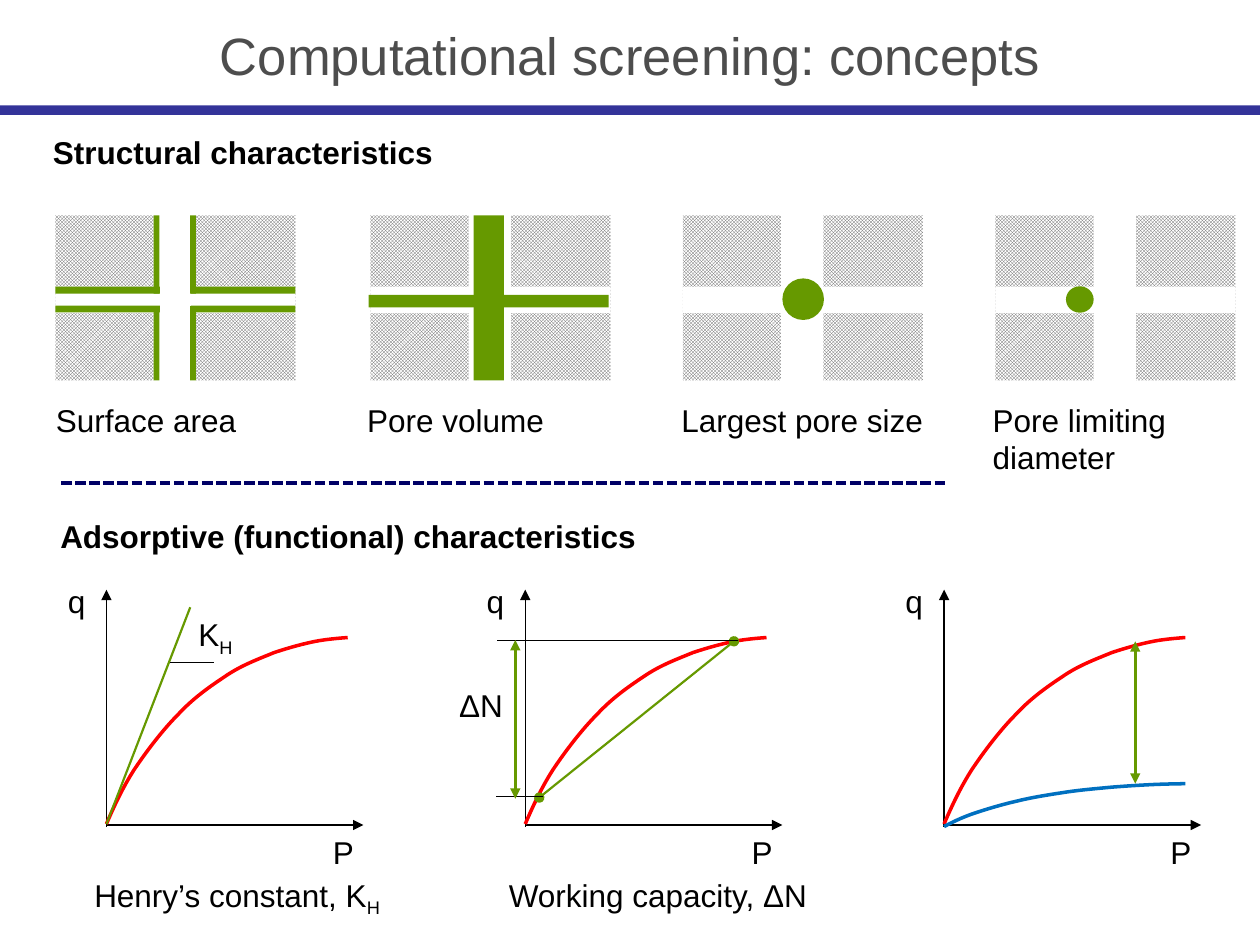
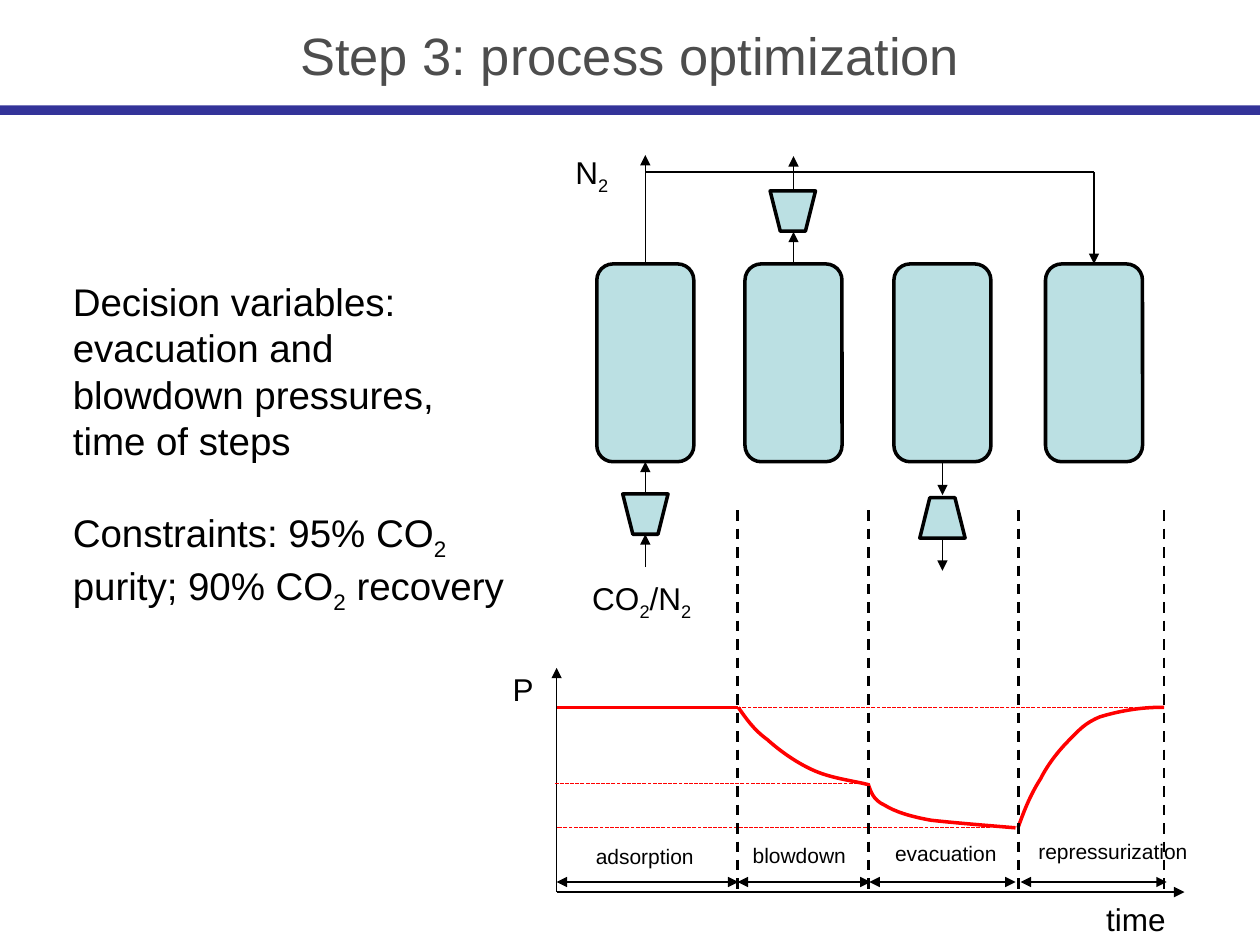
from dataclasses import dataclass
from itertools import product
from typing import NamedTuple, Optional

from lxml.etree import SubElement
from pptx import Presentation
from pptx.dml.color import RGBColor
from pptx.enum.dml import MSO_LINE, MSO_PATTERN
from pptx.enum.shapes import MSO_CONNECTOR, MSO_SHAPE
from pptx.enum.text import MSO_ANCHOR, MSO_AUTO_SIZE, PP_ALIGN
from pptx.oxml.ns import qn
from pptx.util import Emu, Inches, Pt

# The grid has 100 columns and 75 rows of square cells; all lengths are in cells
WIDTH, HEIGHT = Inches(10), Inches(7.5)
CELL = WIDTH / 100
TOP, BOTTOM = 0, 2  # connection sites of a rectangle


@dataclass(frozen=True)
class Theme:
    font: str = "Arial"
    title_size: float = 30
    body_size: float = 22
    label_size: float = 18
    step_size: float = 12
    title: str = "4D4D4D"
    ink: str = "000000"
    paper: str = "FFFFFF"
    band: str = "333399"
    divider: str = "000066"
    solid: str = "606060"
    pore: str = "669900"
    strong: str = "FF0000"
    weak: str = "0070C0"
    vessel: str = "BBE0E3"


THEME = Theme()


class Point(NamedTuple):
    x: float
    y: float


class Box(NamedTuple):
    left: float
    top: float
    width: float
    height: float


class Label(NamedTuple):
    text: str
    box: Box


class Machine(NamedTuple):
    center: float
    top: float
    wide_top: bool


class Step(NamedTuple):
    start: float
    end: float
    label: Label


def cells(count: float) -> Emu:
    return Emu(round(count * CELL))


def colour(code: str) -> RGBColor:
    return RGBColor.from_string(code)


# Text
def write_text(frame, text: str, *, size: float = THEME.label_size, color: str = THEME.ink,
               bold: bool = False, align=PP_ALIGN.LEFT, gap: float = 0) -> None:
    """Each line is a paragraph; text between tildes is subscript."""
    for index, line in enumerate(text.split("\n")):
        paragraph = frame.paragraphs[0] if index == 0 else frame.add_paragraph()
        paragraph.alignment = align
        if index and gap:
            paragraph.space_before = Pt(gap)
        for part, piece in enumerate(line.split("~")):
            if not piece:
                continue
            run = paragraph.add_run()
            run.text = piece
            run.font.name, run.font.size, run.font.bold = THEME.font, Pt(size), bold
            run.font.color.rgb = colour(color)
            if part % 2:
                run.font._element.set("baseline", "-25000")


def add_label(slide, text: str, box: Box, *, wrap: bool = False, **text_format) -> None:
    shape = slide.shapes.add_textbox(*map(cells, box))
    shape.text_frame.word_wrap = wrap
    shape.text_frame.auto_size = MSO_AUTO_SIZE.SHAPE_TO_FIT_TEXT
    write_text(shape.text_frame, text, **text_format)


# Shapes and lines
def add_block(slide, box: Box, fill: str, *, kind=MSO_SHAPE.RECTANGLE,
              outline: Optional[str] = None):
    shape = slide.shapes.add_shape(kind, *map(cells, box))
    shape.shadow.inherit = False
    shape.fill.solid()
    shape.fill.fore_color.rgb = colour(fill)
    if outline:
        shape.line.color.rgb, shape.line.width = colour(outline), Pt(2)
    else:
        shape.line.fill.background()
    return shape


def add_line(slide, start: Point, end: Point, *, color: str = THEME.ink, width: float = 0.75,
             dash=None, head: str = "", tail: str = ""):
    connector = slide.shapes.add_connector(
        MSO_CONNECTOR.STRAIGHT, *map(cells, (*start, *end)))
    line = connector.line
    line.color.rgb, line.width = colour(color), Pt(width)
    if dash:
        line.dash_style = dash
    properties = connector._element.spPr
    for tag, kind in (("a:headEnd", head), ("a:tailEnd", tail)):
        if kind:
            SubElement(properties.find(qn("a:ln")), qn(tag), type=kind)
    SubElement(properties, qn("a:effectLst"))
    return connector


def add_curve(slide, points: list[Point], color: str) -> None:
    """Draw a chain of cubic Bézier arcs: a start, then three points per arc."""
    start, *controls = [tuple(map(cells, point)) for point in points]
    builder = slide.shapes.build_freeform(*start)
    builder.add_line_segments(controls, close=False)
    shape = builder.convert_to_shape()
    # Join every three straight segments into one arc
    segments = list(shape._element.iter(qn("a:lnTo")))
    for first in range(0, len(segments), 3):
        outline = segments[first].getparent()
        arc = SubElement(outline, qn("a:cubicBezTo"))
        for segment in segments[first:first + 3]:
            arc.append(segment[0])
            outline.remove(segment)
    shape.shadow.inherit = False
    shape.fill.background()
    shape.line.color.rgb, shape.line.width = colour(color), Pt(2)


def add_slide(presentation, title: str):
    slide = presentation.slides.add_slide(presentation.slide_layouts[5])
    shape = slide.shapes.title
    shape.left, shape.top, shape.width, shape.height = map(cells, Box(0, 0.6, 100, 7.45))
    shape.text_frame.vertical_anchor = MSO_ANCHOR.MIDDLE
    write_text(shape.text_frame, title, size=THEME.title_size, color=THEME.title,
               align=PP_ALIGN.CENTER)
    add_block(slide, Box(0, 8.36, 100, 0.76), THEME.band)
    return slide


# Slide 1: pore schematics
PORE_TOP, PORE_WIDTH, PORE_HEIGHT = 17.1, 19.05, 13.1
PORE_LEFTS = (4.4, 29.4, 54.2, 79)
PORE_LABELS = (
    Label("Surface area", Box(3.45, 31.3, 16.5, 4)),
    Label("Pore volume", Box(28.15, 31.3, 16.2, 4)),
    Label("Largest pore size", Box(53.1, 31.3, 21.4, 4)),
    Label("Pore limiting\ndiameter", Box(77.8, 31.3, 16.6, 7.1)),
)


def add_pore_block(slide, left: float) -> None:
    solid = add_block(slide, Box(left, PORE_TOP, PORE_WIDTH, PORE_HEIGHT), THEME.paper)
    solid.fill.patterned()
    solid.fill.pattern = MSO_PATTERN.SMALL_CHECKER_BOARD
    solid.fill.fore_color.rgb = colour(THEME.solid)
    solid.fill.back_color.rgb = colour(THEME.paper)
    add_block(slide, Box(left + 7.8, PORE_TOP - 0.1, 3.35, PORE_HEIGHT + 0.2), THEME.paper)
    add_block(slide, Box(left, 22.75, PORE_WIDTH, 2.1), THEME.paper)


def add_pores(slide) -> None:
    for left, label in zip(PORE_LEFTS, PORE_LABELS):
        add_pore_block(slide, left)
        add_label(slide, *label)
    surface, volume, largest, limiting = PORE_LEFTS
    green = [Box(surface + x, y, 0.45, height)
             for x, (y, height) in product((7.8, 10.7), ((17.1, 6.2), (24.3, 5.9)))]
    green += [Box(surface + x, y, 8.3, 0.55) for x, y in product((0, 10.75), (22.75, 24.25))]
    green += [Box(volume + 8.2, PORE_TOP, 2.4, PORE_HEIGHT),
              Box(volume - 0.15, 23.4, PORE_WIDTH, 1)]
    for box in green:
        add_block(slide, box, THEME.pore)
    for box in (Box(largest + 7.9, 22.1, 3.3, 3.3), Box(limiting + 5.6, 22.72, 2.2, 2.1)):
        add_block(slide, box, THEME.pore, kind=MSO_SHAPE.OVAL)


# Slide 1: adsorption isotherms
ISOTHERM = (
    (0, 0), (0.6, 1.4), (1.3, 2.9), (2.2, 4.3), (3.2, 5.8), (4.5, 7.5), (5.7, 8.7),
    (6.9, 10), (8.2, 10.9), (9.4, 11.7), (10.7, 12.6), (12.1, 13.1), (13.3, 13.6),
    (14.5, 14), (15.6, 14.3), (16.6, 14.5), (17.6, 14.7), (19.15, 14.8), (19.15, 14.8),
)
PLOT_LEFTS = [8.45 + 33.24 * index for index in range(3)]


def add_isotherm(slide, left: float, color: str, base: float = 65.4, scale: float = 1) -> None:
    add_curve(slide, [Point(left + x, base - scale * y) for x, y in ISOTHERM], color)


def add_plots(slide) -> None:
    for left in PLOT_LEFTS:
        add_line(slide, Point(left, 65.6), Point(left, 46.8), tail="triangle")
        add_line(slide, Point(left, 65.48), Point(left + 20.4, 65.48), tail="triangle")
        add_isotherm(slide, left, THEME.strong)
        add_label(slide, "q", Box(left - 4.05, 45.7, 3.4, 4))
        add_label(slide, "P", Box(left + 16.98, 65.6, 3.7, 4))
    henry, working, selective = PLOT_LEFTS

    # Initial slope
    add_line(slide, Point(henry, 65.4), Point(15.1, 48.2), color=THEME.pore, width=1.25)
    add_line(slide, Point(13.5, 52.6), Point(17, 52.6))
    add_label(slide, "K~H~", Box(14.75, 48.3, 4.9, 4))
    add_label(slide, "Henry’s constant, K~H~", Box(6.5, 69, 25.7, 4))

    # Capacity between two pressures
    add_line(slide, Point(42.8, 63.3), Point(58.25, 50.9),
             color=THEME.pore, width=1.25, head="oval", tail="oval")
    add_line(slide, Point(58.6, 50.82), Point(39.45, 50.82))
    add_line(slide, Point(43.1, 63.2), Point(39.4, 63.2))
    add_label(slide, "ΔN", Box(35.45, 53.95, 5.5, 4))
    add_label(slide, "Working capacity, ΔN", Box(39.4, 69, 25.8, 4))

    # Gap between two components
    add_isotherm(slide, selective, THEME.weak, base=65.6, scale=0.23)
    for x, top, bottom in ((40.9, 50.8, 63.4), (90.1, 50.9, 62.2)):
        add_line(slide, Point(x, top), Point(x, bottom), color=THEME.pore, width=1.5,
                 head="triangle", tail="triangle")


def build_concepts(presentation) -> None:
    slide = add_slide(presentation, "Computational screening: concepts")
    add_label(slide, "Structural characteristics", Box(3.22, 10.05, 32.4, 4), bold=True)
    add_pores(slide)
    add_line(slide, Point(4.85, 38.35), Point(75.2, 38.35), color=THEME.divider, width=2,
             dash=MSO_LINE.SQUARE_DOT)
    add_label(slide, "Adsorptive (functional) characteristics", Box(3.8, 40.55, 48.2, 4),
              bold=True)
    add_plots(slide)


# Slide 2: adsorption beds and their streams
BED_CENTERS = (51.22, 62.98, 74.8, 86.83)
BED_TOP, BED_WIDTH, BED_HEIGHT = 20.95, 7.7, 15.7
MACHINES = (Machine(51.22, 39.2, True), Machine(62.92, 15.15, True),
            Machine(74.8, 39.5, False))


def add_beds(slide) -> None:
    beds = [add_block(slide, Box(x - BED_WIDTH / 2, BED_TOP, BED_WIDTH, BED_HEIGHT),
                      THEME.vessel, kind=MSO_SHAPE.ROUNDED_RECTANGLE, outline=THEME.ink)
            for x in BED_CENTERS]
    for center, top, wide_top in MACHINES:
        machine = add_block(slide, Box(center - 1.8, top, 3.6, 3.2), THEME.vessel,
                            kind=MSO_SHAPE.TRAPEZOID, outline=THEME.ink)
        machine.rotation = 180 if wide_top else 0

    feed, blowdown, evacuation, refill = BED_CENTERS
    bed_bottom, recycle = BED_TOP + BED_HEIGHT, 13.65
    # Streams that leave a bed
    for index, site, start, end in ((0, TOP, BED_TOP, 12.3), (1, TOP, BED_TOP, 18.4),
                                    (2, BOTTOM, bed_bottom, 39.3)):
        x = BED_CENTERS[index]
        stream = add_line(slide, Point(x, start), Point(x, end), tail="triangle")
        stream.begin_connect(beds[index], site)
    # Streams that enter a bed
    add_line(slide, Point(feed, recycle), Point(refill, recycle), width=1)
    for index, site, start, end, width in ((0, BOTTOM, 39.1, bed_bottom, 0.75),
                                           (3, TOP, recycle, BED_TOP, 1)):
        x = BED_CENTERS[index]
        stream = add_line(slide, Point(x, start), Point(x, end), width=width, tail="triangle")
        stream.end_connect(beds[index], site)
    # Outer streams of the machines
    for x, start, end in ((feed, 45, 42.4), (blowdown, 15, 12.4), (evacuation, 42.7, 45.3)):
        add_line(slide, Point(x, start), Point(x, end), tail="triangle")
    add_label(slide, "N~2~", Box(44.68, 11.65, 4.8, 4))
    add_label(slide, "CO~2~/N~2~", Box(46.02, 45.5, 10.2, 4))


# Slide 2: pressure over one cycle
STEPS = (
    Step(44.18, 58.6, Label("adsorption", Box(46.3, 66.45, 9.8, 3))),
    Step(58.55, 69.1, Label("blowdown", Box(58.75, 66.35, 9.4, 3))),
    Step(69, 80.6, Label("evacuation", Box(70.05, 66.25, 10.1, 3))),
    Step(81, 92.6, Label("repressurization", Box(81.42, 66.05, 13.9, 3))),
)
STEP_EDGES = (58.55, 68.92, 80.83, 92.38)
AXIS_LEFT, HIGH, MIDDLE, LOW, BASE = 44.18, 56.15, 62.2, 65.7, 70.8
PRESSURE_CURVES = (
    ((58.6, HIGH), (59.2, 57), (59.8, 57.9), (60.9, 58.7), (61.9, 59.6), (63.3, 60.6),
     (64.7, 61.2), (66.1, 61.8), (67.9, 62), (69, 62.3)),
    ((68.9, MIDDLE), (69.1, 62.8), (69.3, 63.5), (70.2, 63.9), (71, 64.4), (72.2, 64.8),
     (73.9, 65.1), (75.7, 65.3), (78.2, 65.5), (80.6, LOW)),
    ((80.8, LOW), (81.4, 64), (81.9, 62.9), (82.6, 61.8), (83.2, 60.6), (84.1, 59.5),
     (84.9, 58.7), (85.7, 57.9), (86.1, 57.4), (87.3, 56.9), (88.6, 56.5), (90.5, 56.1),
     (92.4, HIGH)),
)


def add_cycle(slide) -> None:
    add_line(slide, Point(AXIS_LEFT, BASE), Point(AXIS_LEFT, 53), tail="triangle")
    add_line(slide, Point(AXIS_LEFT, BASE), Point(94, BASE), tail="triangle")
    add_line(slide, Point(AXIS_LEFT, HIGH), Point(58.6, HIGH), color=THEME.strong, width=2)
    for curve in PRESSURE_CURVES:
        add_curve(slide, [Point(*point) for point in curve], THEME.strong)
    for right, left, level in ((92.4, AXIS_LEFT, HIGH), (68.9, 44, MIDDLE),
                               (78.6, AXIS_LEFT, LOW)):
        add_line(slide, Point(right, level), Point(left, level), color=THEME.strong,
                 dash=MSO_LINE.SQUARE_DOT)
    for edge in STEP_EDGES:
        add_line(slide, Point(edge, 40.5), Point(edge, BASE), width=1.5, dash=MSO_LINE.DASH)
    for start, end, label in STEPS:
        add_line(slide, Point(start, 70), Point(end, 70), width=1.25,
                 head="triangle", tail="triangle")
        add_label(slide, *label, size=THEME.step_size)
    add_label(slide, "P", Box(39.7, 52.7, 3.9, 4), wrap=True)
    add_label(slide, "time", Box(86.8, 70.95, 6.8, 4))


def build_optimization(presentation) -> None:
    slide = add_slide(presentation, "Step 3: process optimization")
    add_beds(slide)
    add_cycle(slide)
    add_label(slide, "Decision variables: evacuation and blowdown pressures, time of steps\n"
              "Constraints: 95% CO~2~ purity; 90% CO~2~ recovery", Box(4.8, 21.6, 36.5, 27),
              wrap=True, size=THEME.body_size, gap=26.5)


def main() -> None:
    presentation = Presentation()
    presentation.slide_width, presentation.slide_height = WIDTH, HEIGHT
    build_concepts(presentation)
    build_optimization(presentation)
    presentation.save("out.pptx")


if __name__ == "__main__":
    main()
